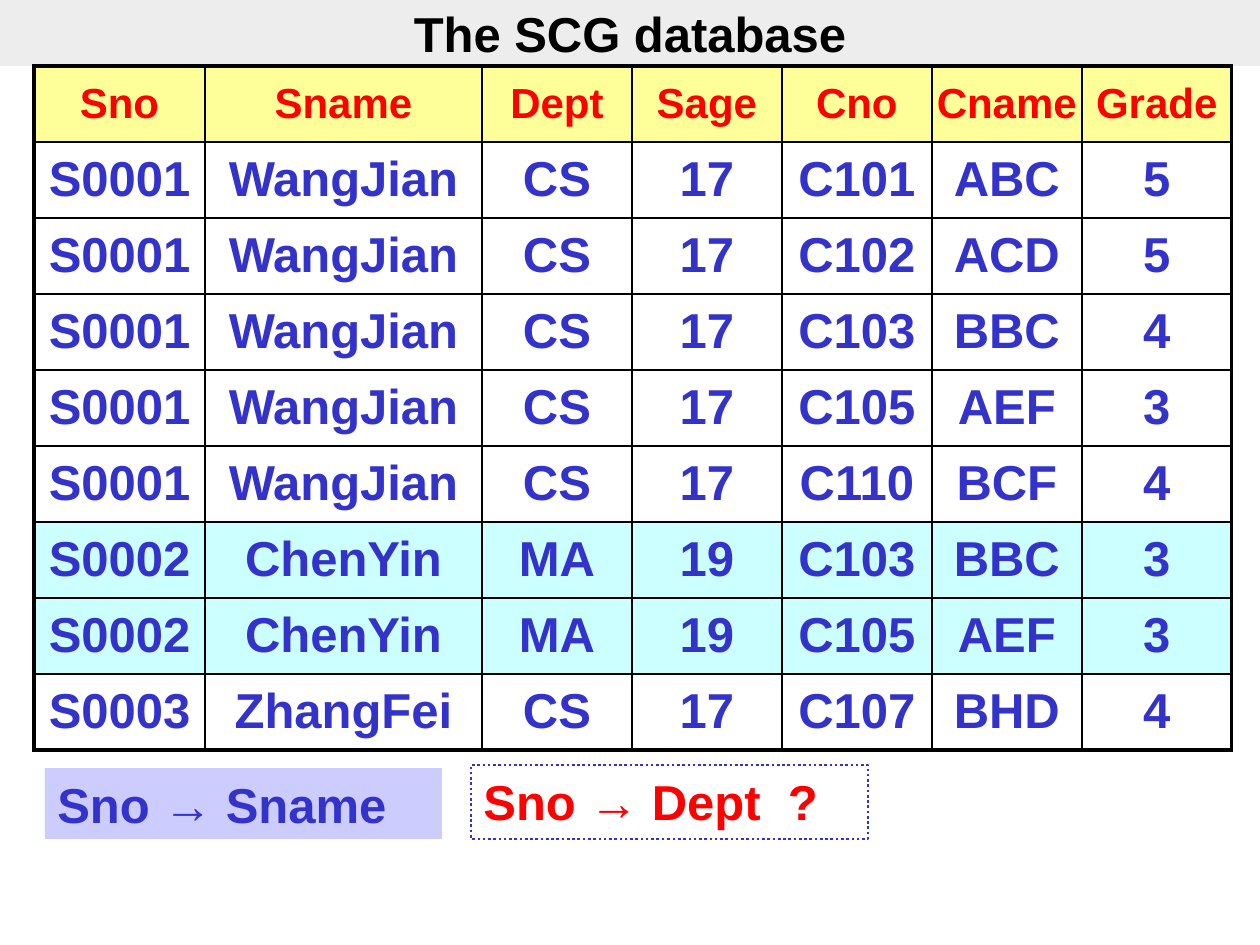
from lxml.etree import SubElement
from pptx import Presentation
from pptx.dml.color import RGBColor
from pptx.enum.dml import MSO_LINE
from pptx.enum.shapes import MSO_SHAPE as Shape
from pptx.enum.text import MSO_ANCHOR as Anchor, PP_ALIGN as Align
from pptx.oxml.ns import qn
from pptx.util import Emu, Pt

PX = 914400 // 126
COLORS = {
    "black": "000000", "white": "FFFFFF", "band": "DDDDDD", "red": "FF0000",
    "blue": "3333CC", "lilac": "CCCCFF", "yellow": "FFFF99", "cyan": "CCFFFF",
}
COLUMNS = ["Sno", "Sname", "Dept", "Sage", "Cno", "Cname", "Grade"]
WIDTHS = [171, 277] + [150] * 5
ROW_HEIGHT = 76
STUDENTS = {
    "S0001": ("WangJian", "CS", "17"),
    "S0002": ("ChenYin", "MA", "19"),
    "S0003": ("ZhangFei", "CS", "17"),
}
GRADES = [
    ("S0001", "C101", "ABC", "5"),
    ("S0001", "C102", "ACD", "5"),
    ("S0001", "C103", "BBC", "4"),
    ("S0001", "C105", "AEF", "3"),
    ("S0001", "C110", "BCF", "4"),
    ("S0002", "C103", "BBC", "3"),
    ("S0002", "C105", "AEF", "3"),
    ("S0003", "C107", "BHD", "4"),
]


def rgb(name):
    return RGBColor.from_string(COLORS[name])


class SlideBuilder:
    font = "Arial"
    thin, thick = 1, 2.25

    def __init__(self, page):
        self.page = page

    def set_text(self, para, text, color, size=28, align=Align.LEFT):
        para.text = text
        para.alignment = align
        font = para.font
        font.name, font.size, font.bold = self.font, Pt(size), True
        font.color.rgb = rgb(color)

    def box(self, left, top, width, height, fill, text, color,
            align=Align.LEFT, anchor=Anchor.TOP, opacity=None, dotted=None):
        box = self.page.shapes.add_shape(
            Shape.RECTANGLE, *(Emu(n * PX) for n in (left, top, width, height)))
        box.shadow.inherit = False
        box.fill.solid()
        box.fill.fore_color.rgb = rgb(fill)
        if opacity:
            tint = box.element.spPr.find(".//" + qn("a:srgbClr"))
            SubElement(tint, qn("a:alpha"), val=str(opacity * 1000))
        if dotted:
            box.line.color.rgb = rgb(dotted)
            box.line.width = Pt(1.5)
            box.line.dash_style = MSO_LINE.ROUND_DOT
        else:
            box.line.fill.background()
        box.text_frame.word_wrap = True
        box.text_frame.vertical_anchor = anchor
        self.set_text(box.text_frame.paragraphs[0], text, color, align=align)

    def border(self, cell, side, width):
        line = SubElement(cell._tc.get_or_add_tcPr(), qn("a:ln" + side),
                          w=str(Pt(width)))
        SubElement(SubElement(line, qn("a:solidFill")), qn("a:srgbClr"),
                   val=COLORS["black"])

    def cell(self, cell, text, color, size, fill, outer):
        cell.margin_left = cell.margin_right = 0
        cell.margin_top = cell.margin_bottom = 0
        cell.vertical_anchor = Anchor.MIDDLE
        for side, is_outer in outer.items():
            self.border(cell, side, self.thick if is_outer else self.thin)
        if fill:
            cell.fill.solid()
            cell.fill.fore_color.rgb = rgb(fill)
        else:
            cell.fill.background()
        para = cell.text_frame.paragraphs[0]
        before = SubElement(para._p.get_or_add_pPr(), qn("a:spcBef"))
        SubElement(before, qn("a:spcPct"), val="20000")
        self.set_text(para, text, color, size, Align.CENTER)

    def table(self, left, top, widths, row_height, rows, style_of):
        last_row, last_column = len(rows) - 1, len(widths) - 1
        table = self.page.shapes.add_table(
            len(rows), len(widths), Emu(left * PX), Emu(top * PX),
            Emu(sum(widths) * PX), Emu(len(rows) * row_height * PX)).table
        table.first_row = table.horz_banding = False
        for column, width in zip(table.columns, widths):
            column.width = Emu(width * PX)
        for r, values in enumerate(rows):
            table.rows[r].height = Emu(row_height * PX)
            for c, text in enumerate(values):
                outer = {"L": c == 0, "R": c == last_column,
                         "T": r == 0, "B": r == last_row}
                self.cell(table.cell(r, c), text, *style_of(values), outer)


def row_style(values):
    if values is COLUMNS:
        return "red", 24, "yellow"
    return "blue", 28, "cyan" if values[0] == "S0002" else None


def main():
    deck = Presentation()
    deck.slide_width, deck.slide_height = Emu(1260 * PX), Emu(945 * PX)
    builder = SlideBuilder(deck.slides.add_slide(deck.slide_layouts[6]))

    # Title band
    builder.box(0, 0, 1260, 66, "band", "The SCG database", "black",
                align=Align.CENTER, anchor=Anchor.MIDDLE, opacity=50)

    # Students joined with their course grades
    rows = [COLUMNS] + [(sno, *STUDENTS[sno], *grade) for sno, *grade in GRADES]
    builder.table(34, 66, WIDTHS, ROW_HEIGHT, rows, row_style)

    # Functional dependencies
    builder.box(45, 768, 397, 71, "lilac", "Sno → Sname", "blue")
    builder.box(471, 765, 397, 74, "white", "Sno → Dept  ?", "red", dotted="blue")

    deck.save("out.pptx")


if __name__ == "__main__":
    main()
